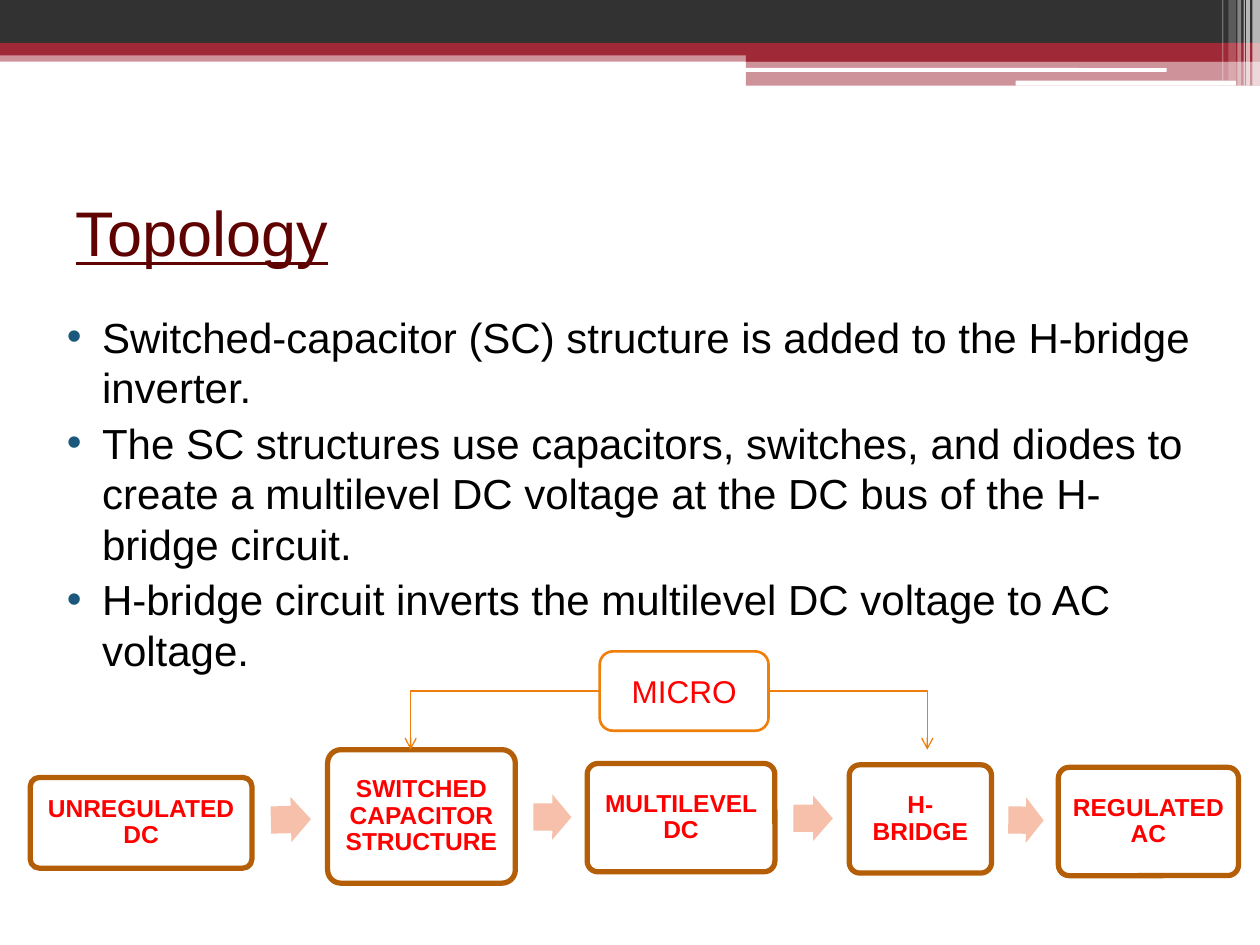
import math

from lxml import etree
from pptx import Presentation
from pptx import util as u
from pptx.dml.color import RGBColor
from pptx.enum import shapes, text
from pptx.oxml import ns

FONT = "Arial"
COLORS = {
    "dark": "323232", "red": "9F2936", "white": "FFFFFF", "title": "5E0202",
    "body": "000000", "bullet": "1B587C", "label": "FF0000",
    "block": "B45F07", "arrow": "F6C0AB", "control": "F07F09",
}
KIND = shapes.MSO_SHAPE

# Content
TITLE = "Topology"
POINTS = [
    "Switched-capacitor (SC) structure is added to the H-bridge inverter.",
    "The SC structures use capacitors, switches, and diodes to create a "
    "multilevel DC voltage at the DC bus of the H-bridge circuit.",
    "H-bridge circuit inverts the multilevel DC voltage to AC voltage.",
]
# Label, left, middle height, width, height
STAGES = [
    ("UNREGULATED DC", 0.24, 6.53, 1.76, 0.72),
    ("SWITCHED CAPACITOR STRUCTURE", 2.6, 6.48, 1.49, 1.06),
    ("MULTILEVEL DC", 4.66, 6.49, 1.49, 0.86),
    ("H-BRIDGE", 6.74, 6.5, 1.13, 0.86),
    ("REGULATED AC", 8.4, 6.52, 1.43, 0.86),
]
CONTROL = ("MICRO", 4.76, 5.17, 1.34, 0.63)
CONTROL_TARGETS = [(7.36, 5.95), (3.26, 5.95)]

# Header bands: left, top, width, height, colour, opacity in percent
BANDS = [
    (0, 0.4, 10, 0.09, "red", 50),
    (0, 0, 10, 0.34, "dark", 100),
    (0, 0.34, 10, 0.1, "red", 100),
    (5.92, 0.39, 4.08, 0.1, "red", 100),
    (5.92, 0.48, 4.08, 0.2, "red", 50),
]
SLITS = [(5.91, 0.54, 3.35, 0.03), (8.06, 0.64, 1.75, 0.04)]
# Left, width, height, opacity in percent
STRIPES = [
    (9.94, 0.06, 0.68, 65), (9.89, 0.03, 0.68, 65), (9.87, 0.01, 0.68, 60),
    (9.82, 0.03, 0.68, 40), (9.75, 0.06, 0.64, 20), (9.7, 0.01, 0.64, 30),
]


def color(name):
    return RGBColor.from_string(COLORS[name])


def add_child(parent, tag, **attributes):
    return etree.SubElement(parent, ns.qn(tag), attributes)


def place(shape, *lengths):
    shape.left, shape.top, shape.width, shape.height = map(u.Inches, lengths)


def add_box(kind, lengths, fill, opacity=100, line=None, weight=0):
    box = page.shapes.add_shape(kind, *map(u.Inches, lengths))
    box.shadow.inherit = False
    box.fill.solid()
    box.fill.fore_color.rgb = color(fill)
    if opacity < 100:
        tint = box.fill._xPr.find(".//" + ns.qn("a:srgbClr"))
        add_child(tint, "a:alpha", val=str(opacity * 1000))
    if line:
        box.line.color.rgb = color(line)
        box.line.width = u.Pt(weight)
    else:
        box.line.fill.background()
    return box


def style(para, size, name, **options):
    for span in para.runs:
        span.font.name, span.font.size = FONT, u.Pt(size)
        span.font.color.rgb = color(name)
        for option, value in options.items():
            setattr(span.font, option, value)


def write_label(box, label, size, **options):
    frame = box.text_frame
    frame.text = label
    frame.word_wrap = True
    frame.vertical_anchor = text.MSO_ANCHOR.MIDDLE
    para = frame.paragraphs[0]
    para.alignment = text.PP_ALIGN.CENTER
    style(para, size, "label", **options)
    return frame


deck = Presentation()
deck.slide_width, deck.slide_height = u.Inches(10), u.Inches(7.5)
page = deck.slides.add_slide(deck.slide_layouts[1])

# Header decoration
for *lengths, fill, opacity in BANDS:
    add_box(KIND.RECTANGLE, lengths, fill, opacity)
for lengths in SLITS:
    add_box(KIND.ROUNDED_RECTANGLE, lengths, "white")
for left, width, height, opacity in STRIPES:
    add_box(KIND.RECTANGLE, (left, 0, width, height), "white", opacity)

# Title
title = page.shapes.title
place(title, 0.5, 1.25, 9, 1.17)
title.text_frame.text = TITLE
title.text_frame.vertical_anchor = text.MSO_ANCHOR.MIDDLE
title.text_frame.paragraphs[0].alignment = text.PP_ALIGN.LEFT
style(title.text_frame.paragraphs[0], 36, "title", underline=True)

# Bulleted list
body = page.placeholders[1]
place(body, 0.31, 2.42, 9.38, 4.73)
body.text_frame.text = "\n".join(POINTS)
body.text_frame.auto_size = text.MSO_AUTO_SIZE.NONE
for index, para in enumerate(body.text_frame.paragraphs):
    properties = para._p.get_or_add_pPr()
    properties.set("marL", str(u.Inches(0.4)))
    properties.set("indent", str(u.Inches(-0.28)))
    add_child(add_child(properties, "a:buClr"), "a:srgbClr", val=COLORS["bullet"])
    add_child(properties, "a:buFont", typeface=FONT)
    add_child(properties, "a:buChar", char="•")
    para.space_before = u.Pt(3 if index else 0)
    style(para, 24, "body")

# Process blocks
for label, left, middle, width, height in STAGES:
    block = add_box(KIND.ROUNDED_RECTANGLE, (left, middle - height / 2, width, height),
                    "white", line="block", weight=3)
    block.adjustments[0] = 0.1
    frame = write_label(block, label, 14, bold=True)
    frame.margin_left = frame.margin_right = u.Inches(0.06)
    frame.margin_top = frame.margin_bottom = u.Inches(0.06)
    frame.paragraphs[0].line_spacing = 0.9

# Arrows fill the middle of each gap and tilt towards the next block
for (_, left, middle, width, _), (_, next_left, next_middle, next_width, _) in zip(
        STAGES, STAGES[1:]):
    gap = next_left - left - width
    arrow = add_box(KIND.RIGHT_ARROW, (left + width + gap * 0.25,
                    (middle + next_middle) / 2 - 0.18, gap * 0.53, 0.36), "arrow")
    arrow.adjustments[0], arrow.adjustments[1] = 0.6, 0.5
    distance = next_left + next_width / 2 - left - width / 2
    arrow.rotation = math.degrees(math.atan2(next_middle - middle, distance))

# Controller and its two control lines
label, *lengths = CONTROL
controller = add_box(KIND.ROUNDED_RECTANGLE, lengths, "white", line="control", weight=1.5)
write_label(controller, label, 18)
left, top, width, height = lengths
for x, y in CONTROL_TARGETS:
    start = left + width if x > left else left
    wire = page.shapes.add_connector(
        shapes.MSO_CONNECTOR.ELBOW,
        *map(u.Inches, (start, top + height / 2, x, y)))
    wire.line.color.rgb = color("control")
    wire.line.width = u.Pt(0.75)
    add_child(wire.line._get_or_add_ln(), "a:tailEnd", type="arrow")
    add_child(wire._element.spPr, "a:effectLst")
    guides = wire._element.spPr.find(ns.qn("a:prstGeom")).get_or_add_avLst()
    add_child(guides, "a:gd", name="adj1", fmla="val 100000")

deck.save("out.pptx")
